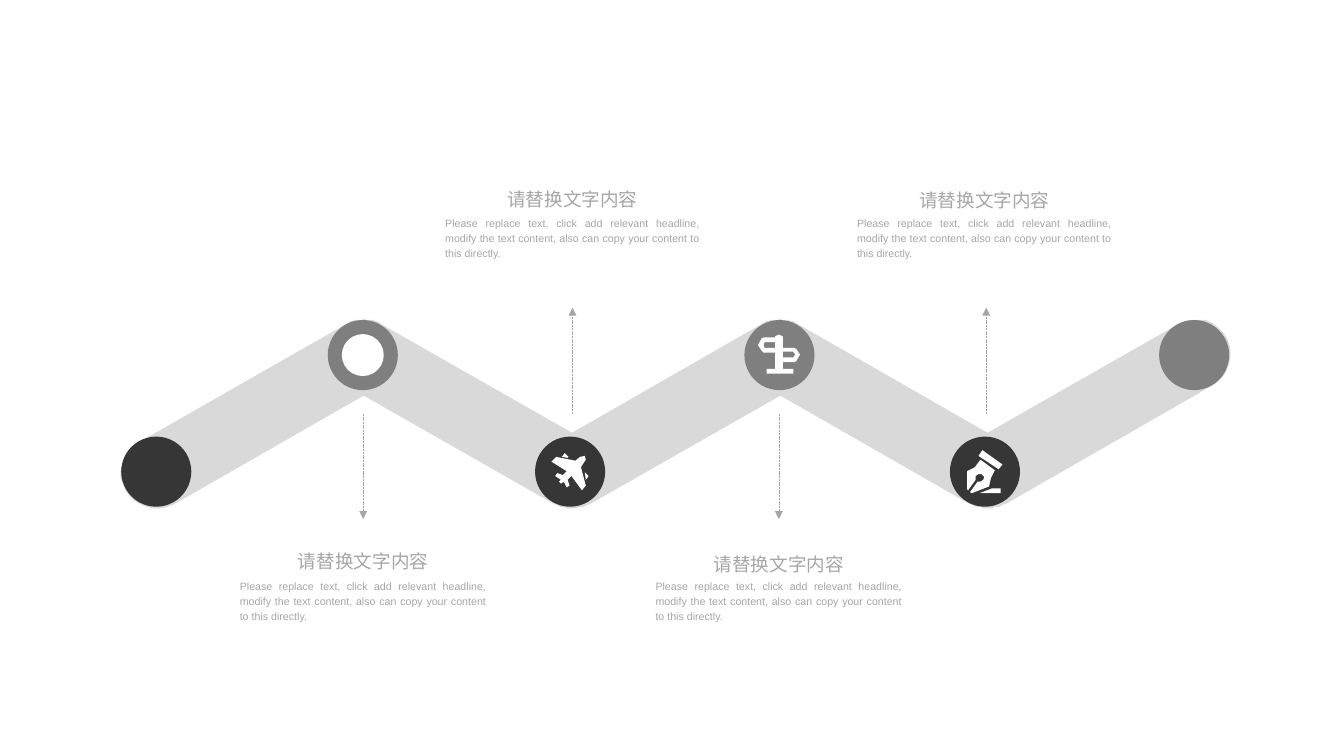
import math

import lxml.etree
import pptx
import pptx.dml.color
import pptx.enum.dml
import pptx.enum.shapes
import pptx.enum.text
import pptx.oxml.ns
import pptx.util

Pt = pptx.util.Pt
BAND = pptx.dml.color.RGBColor(0xD9, 0xD9, 0xD9)
DARK = pptx.dml.color.RGBColor(0x36, 0x36, 0x36)
MEDIUM = pptx.dml.color.RGBColor(0x7F, 0x7F, 0x7F)
TEXT = pptx.dml.color.RGBColor(0xA6, 0xA6, 0xA6)
WHITE = pptx.dml.color.RGBColor(0xFF, 0xFF, 0xFF)

TITLE = "请替换文字内容"
BODY = ("Please replace text, click add relevant headline, modify the text content, "
        "also can copy your content to this directly.")

presentation = pptx.Presentation()
presentation.slide_width = Pt(1012.5)
presentation.slide_height = Pt(569.5)
slide = presentation.slides.add_slide(presentation.slide_layouts[6])
shapes = slide.shapes


def add_outline(contours, color, left=0, top=0, unit=1):
    """Draw closed contours, in multiples of unit points, as one filled shape."""
    first, *others = contours
    builder = shapes.build_freeform(*first[0], scale=Pt(unit))
    builder.add_line_segments(first[1:])
    for contour in others:
        builder.move_to(*contour[0])
        builder.add_line_segments(contour[1:])
    shape = builder.convert_to_shape(Pt(left), Pt(top))
    shape.shadow.inherit = False
    shape.fill.solid()
    shape.fill.fore_color.rgb = color
    shape.line.fill.background()


def add_text(text, left, top, width, height, size, alignment, wrap):
    box = shapes.add_textbox(Pt(left), Pt(top), Pt(width), Pt(height))
    frame = box.text_frame
    frame.word_wrap = wrap
    frame.auto_size = pptx.enum.text.MSO_AUTO_SIZE.SHAPE_TO_FIT_TEXT
    paragraph = frame.paragraphs[0]
    paragraph.alignment = alignment
    paragraph.line_spacing = 1.2
    run = paragraph.add_run()
    run.text = text
    run.font.name = "Arial"
    run.font.size = Pt(size)
    run.font.color.rgb = TEXT


# Zigzag band: along the upper edge, then back along the lower edge
STEP, HIGH, LOW, HALF_WIDTH = 156.6, 267, 356.5, 26.5
slope = math.degrees(math.atan2(LOW - HIGH, STEP))
inner = HALF_WIDTH / math.cos(math.radians(slope))
corners = [
    (0, HALF_WIDTH, 90 - slope, 270 - slope),
    (1, HALF_WIDTH, 270 - slope, 270 + slope),
    (2, inner, 270, 270),
    (3, HALF_WIDTH, 270 - slope, 270 + slope),
    (4, inner, 270, 270),
    (5, HALF_WIDTH, 270 - slope, 450 - slope),
    (4, HALF_WIDTH, 90 - slope, 90 + slope),
    (3, inner, 90, 90),
    (2, HALF_WIDTH, 90 - slope, 90 + slope),
    (1, inner, 90, 90),
]
band = []
for node, radius, start, end in corners:
    steps = 16 if end > start else 0
    for i in range(steps + 1):
        angle = math.radians(start + (end - start) * i / max(steps, 1))
        band.append((117.7 + node * STEP + radius * math.cos(angle),
                     (HIGH if node % 2 else LOW) + radius * math.sin(angle)))
add_outline([band], BAND)

# Circles at the bends, and a plain disc inside the first upper one
UPPER, LOWER, DIAMETER = 267.5, 355.3, 52.8
circles = [
    (117.7, LOWER, DIAMETER, DARK),
    (273.3, UPPER, DIAMETER, MEDIUM),
    (429.5, LOWER, DIAMETER, DARK),
    (587.2, UPPER, DIAMETER, MEDIUM),
    (742, LOWER, DIAMETER, DARK),
    (899.6, UPPER, DIAMETER, MEDIUM),
    (273.3, UPPER, 31.6, WHITE),
]
for center, middle, diameter, color in circles:
    circle = shapes.add_shape(
        pptx.enum.shapes.MSO_SHAPE.OVAL, Pt(center - diameter / 2),
        Pt(middle - diameter / 2), Pt(diameter), Pt(diameter))
    circle.shadow.inherit = False
    circle.fill.solid()
    circle.fill.fore_color.rgb = color
    circle.line.fill.background()

# Icons, on a grid of 0.72 points
signpost = [
    [(26, 14), (38, 14), (40, 15), (44, 21), (40, 28), (38, 29), (26, 29), (26, 36),
     (37, 36), (37, 41), (9, 41), (9, 36), (18, 36), (18, 19), (6, 19), (4, 17),
     (0, 11), (4, 4), (6, 3), (18, 3), (18, 2), (22, 0), (26, 2)],
    [(18, 8), (7, 8), (6, 11), (7, 14), (18, 14)],
    [(37, 18), (26, 18), (26, 24), (37, 24), (39, 21)],
]
plane = [
    [(35, 3), (35.5, 7), (32, 13), (31, 15), (36, 34), (32, 39), (21, 24), (17, 28),
     (19, 34), (16, 36), (13, 30), (10, 32), (8, 30), (10, 28), (4, 24), (6, 21),
     (12, 23), (16, 19), (0, 9), (5, 4), (25, 8), (30, 4)],
    [(39, 24), (35, 20), (36, 28)],
    [(14, 0), (11, 4), (17, 5), (18, 4)],
]
pen = [
    [(1, 42), (0, 41), (0, 22), (8, 18), (14, 10), (29, 21), (25, 29), (23, 38),
     (5, 45), (3, 44), (11, 33), (14, 33), (17, 31), (18, 28), (15, 25), (12, 25),
     (9, 27), (9, 31)],
    [(13, 45), (35, 45), (35, 40), (26, 40)],
    [(33, 20), (37, 15), (16, 0), (12, 6)],
]
for icon, left, top in [(signpost, 571, 252), (plane, 415.4, 341.3),
                        (pen, 728.6, 339.1)]:
    add_outline(icon, WHITE, left, top, 0.72)

# Dashed arrows and their captions
captions = [
    # arrow x, arrow end, caption center, title top, body top, body width
    (273.6, 391, 273.6, 407.5, 431.3, 200),
    (586.8, 391, 586.8, 409.7, 431.3, 200),
    (743, 231.8, 741.6, 135.4, 157.7, 206),
    (431.3, 231.8, 431.3, 134.6, 157.7, 206),
]
for arrow_x, arrow_end, center, title_top, body_top, body_width in captions:
    arrow = shapes.add_connector(pptx.enum.shapes.MSO_CONNECTOR.STRAIGHT,
                                 Pt(arrow_x), Pt(311.8), Pt(arrow_x), Pt(arrow_end))
    arrow.line.color.rgb = TEXT
    arrow.line.width = Pt(0.5)
    arrow.line.dash_style = pptx.enum.dml.MSO_LINE.SQUARE_DOT
    properties = arrow.element.spPr
    lxml.etree.SubElement(properties.find(pptx.oxml.ns.qn("a:ln")),
                          pptx.oxml.ns.qn("a:tailEnd"), type="triangle")
    lxml.etree.SubElement(properties, pptx.oxml.ns.qn("a:effectLst"))

    add_text(TITLE, center - 56.9, title_top, 113.8, 25.9, 14,
             pptx.enum.text.PP_ALIGN.CENTER, False)
    add_text(BODY, center - body_width / 2, body_top, body_width, 41, 8,
             pptx.enum.text.PP_ALIGN.JUSTIFY, True)

presentation.save("out.pptx")
